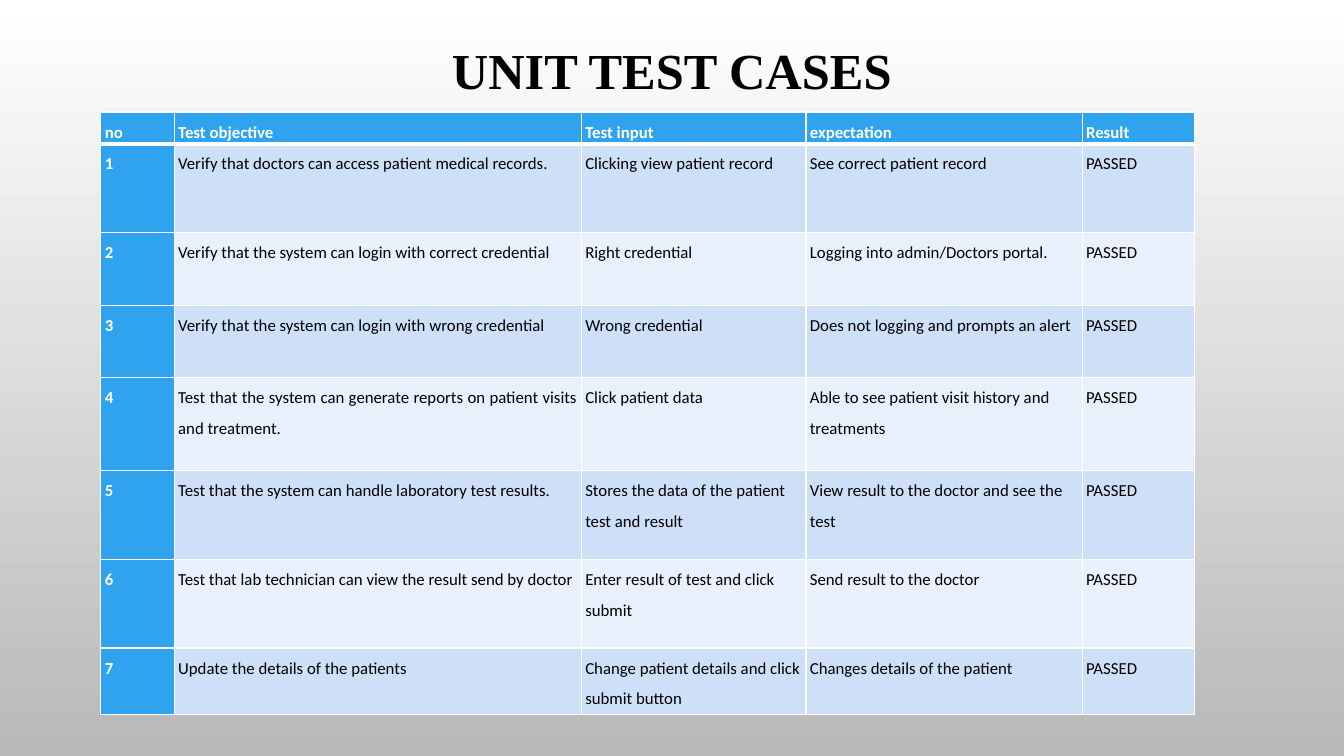
from lxml import etree
from pptx import Presentation
from pptx import util as u
from pptx.dml.color import RGBColor
from pptx.enum import text
from pptx.oxml import ns

BLUE, WHITE, BLACK = "2FA3EE", "FFFFFF", "000000"
BANDS = ("CDE0F8", "E8F0FC")
WIDTHS = (1.85, 10.26, 5.66, 6.96, 2.84)
HEIGHTS = (0.8, 2.24, 1.83, 1.83, 2.33, 2.24, 2.24, 1.68)
HEAD = ("no", "Test objective", "Test input", "expectation", "Result")
CASES = (
    ("Verify that doctors can access patient medical records.",
     "Clicking view patient record", "See correct patient record"),
    ("Verify that the system can login with correct credential",
     "Right credential", "Logging into admin/Doctors portal."),
    ("Verify that the system can login with wrong credential",
     "Wrong credential", "Does not logging and prompts an alert"),
    ("Test that the system can generate reports on patient visits and treatment.",
     "Click patient data", "Able to see patient visit history and treatments"),
    ("Test that the system can handle laboratory test results.",
     "Stores the data of the patient test and result",
     "View result to the doctor and see the test"),
    ("Test that lab technician can view the result send by doctor",
     "Enter result of test and click submit", "Send result to the doctor"),
    ("Update the details of the patients",
     "Change patient details and click submit button",
     "Changes details of the patient"),
)


def paint(target, color):
    """Colour a font, or a fill that is already solid."""
    rgb = RGBColor.from_string(color)
    if hasattr(target, "fore_color"):
        target.fore_color.rgb = rgb
    else:
        target.color.rgb = rgb


def write(par, words, size, face, color, bold):
    run = par.add_run()
    run.text = words
    run.font.size = u.Pt(size)
    run.font.name = face
    run.font.bold = bold
    paint(run.font, color)


def edge(cell, side, width):
    props = cell._tc.get_or_add_tcPr()
    line = etree.SubElement(props, ns.qn("a:ln" + side), w=str(u.Pt(width)))
    fill = etree.SubElement(line, ns.qn("a:solidFill"))
    etree.SubElement(fill, ns.qn("a:srgbClr"), val=WHITE)


def backdrop(slide):
    fill = slide.background.fill
    fill.gradient()
    fill.gradient_angle = 270
    for stop, color in zip(fill.gradient_stops, (WHITE, "B9B9B9")):
        paint(stop, color)
    for stop, place in zip(fill.gradient_stops, (0, 1)):
        stop.position = place


def heading(slide, left, top, width, height):
    title = slide.shapes.title
    title.left, title.top = u.Cm(left), u.Cm(top)
    title.width, title.height = u.Cm(width), u.Cm(height)
    frame = title.text_frame
    frame.vertical_anchor = text.MSO_ANCHOR.MIDDLE
    par = frame.paragraphs[0]
    par.alignment = text.PP_ALIGN.CENTER
    par.line_spacing = 0.9
    write(par, "UNIT TEST CASES", 36, "Times New Roman", BLACK, True)


def fill_cell(cell, words, row, col):
    strong = row == 0 or col == 0
    cell.margin_left = cell.margin_right = u.Cm(0.1)
    cell.margin_top = cell.margin_bottom = 0
    # Borders: a heavy rule under the header
    for side in "LRTB":
        heavy = (row, side) in ((0, "B"), (1, "T"))
        edge(cell, side, 3 if heavy else 1)
    cell.fill.solid()
    paint(cell.fill, BLUE if strong else BANDS[(row - 1) % 2])
    par = cell.text_frame.paragraphs[0]
    par.line_spacing = 1.5
    if col == 1 and row:
        par.alignment = text.PP_ALIGN.JUSTIFY
    write(par, words, 12, "Calibri", WHITE if strong else BLACK, strong)


def case_table(slide, left, top):
    rows = [HEAD] + [(str(n), *case, "PASSED") for n, case in enumerate(CASES, 1)]
    grid = slide.shapes.add_table(
        len(rows), len(HEAD), u.Cm(left), u.Cm(top),
        u.Cm(sum(WIDTHS)), u.Cm(sum(HEIGHTS))).table
    for column, width in zip(grid.columns, WIDTHS):
        column.width = u.Cm(width)
    for line, height in zip(grid.rows, HEIGHTS):
        line.height = u.Cm(height)
    grid.first_col = True
    for row, items in enumerate(rows):
        for col, words in enumerate(items):
            fill_cell(grid.cell(row, col), words, row, col)


def main():
    deck = Presentation()
    deck.slide_width, deck.slide_height = u.Cm(33.87), u.Cm(19.05)
    slide = deck.slides.add_slide(deck.slide_layouts[5])
    backdrop(slide)
    heading(slide, 2.54, 0.46, 28.78, 2.77)
    case_table(slide, 2.54, 2.82)
    deck.save("out.pptx")


if __name__ == "__main__":
    main()
